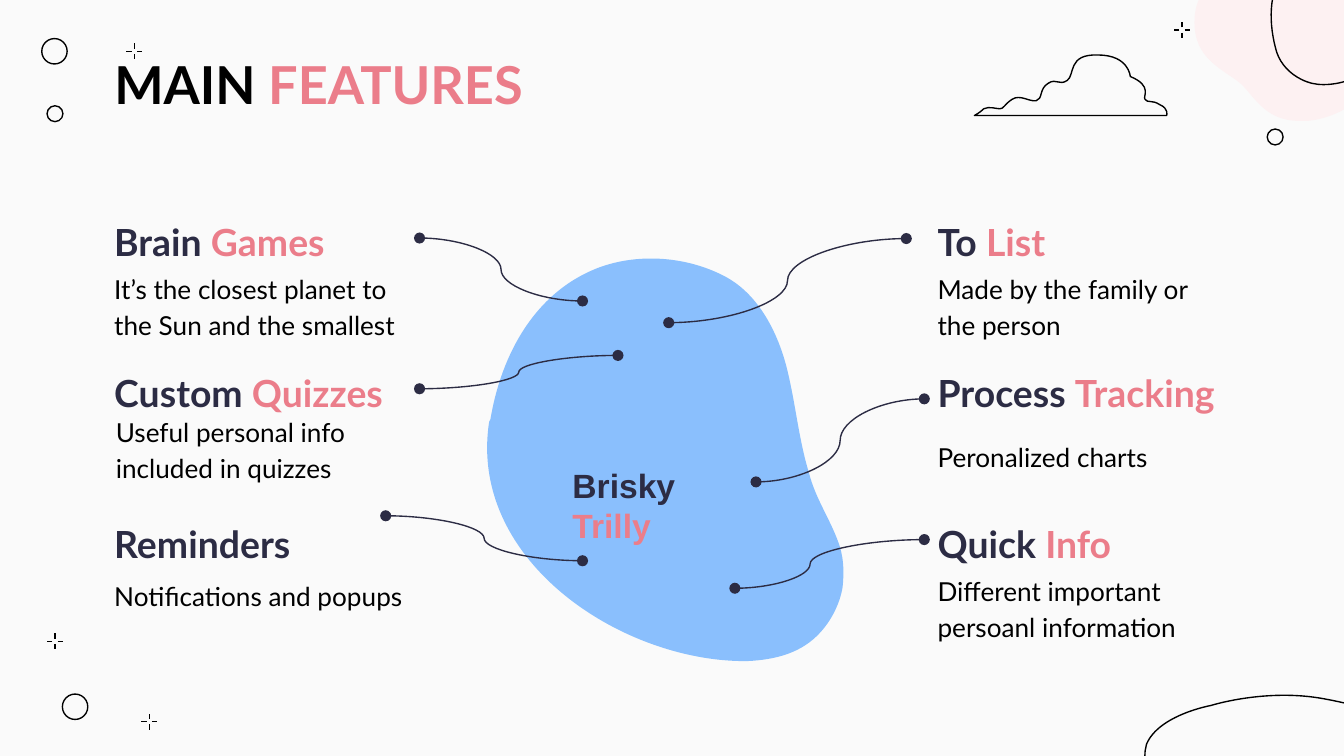
from lxml.etree import SubElement as Sub
from pptx import Presentation
from pptx.dml.color import RGBColor
from pptx.enum.shapes import MSO_CONNECTOR as Link, MSO_SHAPE as Kind
from pptx.enum.text import MSO_ANCHOR as Anchor, MSO_AUTO_SIZE as Fit, PP_ALIGN as Align
from pptx.oxml.ns import qn
from pptx.util import Cm, Pt

BLACK, NAVY, PINK = "000000", "2C2C44", "EB7D8A"
GRID = Cm(0.0254)  # step of the outline coordinates

# Outlines: a start point, then two handles and an end point per curve.
HILL = [
    (1078, 577), (1080, 567), (1073, 557), (1060, 549), (1038, 536), (1028, 528), (985, 520),
    (942, 512), (901, 525), (901, 525), (901, 525), (862, 532), (853, 554),
    (852, 556), (852, 557), (852, 559), (849, 578), (881, 588), (897, 598),
    (914, 608), (925, 627), (970, 634), (1014, 641), (1039, 634), (1040, 620),
    (1040, 619), (1041, 619), (1041, 618), (1042, 605), (1051, 602), (1067, 592),
    (1074, 588), (1078, 583), (1078, 577)]
BLUSH = [
    (980, -33), (992, -33), (1005, -29), (1013, -21), (1026, -9), (1035, -3), (1038, 21),
    (1041, 45), (1019, 66), (1019, 66), (1019, 66), (1003, 87), (973, 90),
    (971, 90), (969, 90), (967, 90), (942, 90), (934, 73), (924, 63),
    (913, 53), (891, 46), (889, 21), (887, -3), (900, -16), (918, -16),
    (919, -16), (920, -16), (921, -16), (938, -16), (944, -20), (959, -28),
    (965, -32), (972, -33), (980, -33)]
RING = [
    (975, -33), (978, -33), (981, -33), (984, -31), (987, -29), (990, -27), (993, -25),
    (1004, -19), (1014, -21), (1025, -20), (1032, -19), (1040, -16), (1045, -9),
    (1048, -5), (1050, 1), (1051, 6), (1052, 22), (1040, 38), (1029, 47),
    (1017, 55), (1001, 63), (985, 63), (979, 63), (974, 62), (968, 59),
    (960, 55), (953, 48), (950, 39), (944, 19), (943, -7), (957, -24),
    (962, -30), (968, -33), (975, -33)]
BLOB = [
    (627, 437), (628, 427), (628, 417), (625, 407), (619, 388), (607, 372), (602, 352),
    (594, 326), (592, 299), (585, 272), (578, 246), (564, 219), (540, 206),
    (512, 191), (476, 188), (446, 199), (398, 217), (373, 264), (365, 312),
    (364, 313), (364, 313), (364, 314), (348, 418), (464, 493), (556, 492),
    (577, 491), (597, 486), (611, 470), (619, 461), (625, 449), (627, 437)]
CLOUD = [
    (868, 86), (868, 86), (870, 81), (863, 78),
    (857, 74), (854, 77), (852, 74), (850, 72), (858, 64), (841, 57),
    (841, 57), (840, 41), (817, 41), (794, 40), (800, 56), (794, 60),
    (788, 64), (786, 58), (780, 62), (773, 66), (776, 74), (771, 75),
    (766, 76), (759, 70), (753, 74), (747, 78), (747, 81), (744, 81),
    (741, 81), (736, 79), (732, 81), (729, 84), (725, 86), (725, 86)]

# Centre x, centre y and diameter
DOTS = [(1.04, 2.15, 0.3), (1.03, 0.97, 0.48), (1.42, 13.36, 0.48), (24.1, 2.59, 0.3)]
SPARKS = [(2.54, 0.97), (2.82, 13.64), (1.04, 12.12), (22.34, 0.57)]

# Heading parts, then body text with its left and top, by column
LEFT, RIGHT = 1.91, 17.47
ITEMS = {
    LEFT: [(["Brain", " Games"], "It’s the closest planet to the Sun and the smallest", LEFT, 5.09),
           (["Custom ", "Quizzes"], "Useful personal info included in quizzes", 1.94, 7.79),
           (["Reminders"], "Notifications and popups", LEFT, 10.54)],
    RIGHT: [(["To", " List"], "Made by the family or the person", RIGHT, 5.09),
            (["Process ", "Tracking"], "Peronalized charts", RIGHT, 7.93),
            (["Quick ", "Info"], "Different important persoanl information", RIGHT, 10.8)],
}
# Start, end and bend (percent of the way across)
LINKS = [
    (7.29, 9.75, 11.01, 10.6, 50), (17.47, 10.2, 13.89, 11.12, 60.3),
    (17.47, 7.54, 14.29, 9.11, 50), (17.13, 4.51, 12.64, 6.1, 50),
    (7.93, 4.5, 11.01, 5.69, 50), (7.93, 7.35, 11.68, 6.72, 50)]


def rgb(code):
    return RGBColor.from_string(code)


def paint(shape, fill=None, line=None):
    shape.shadow.inherit = False
    if fill:
        shape.fill.solid()
        shape.fill.fore_color.rgb = rgb(fill)
    else:
        shape.fill.background()
    if line:
        shape.line.color.rgb = rgb(line)
        shape.line.width = Pt(0.75)
    else:
        shape.line.fill.background()


def curve(shape):
    """Turn each three straight segments into one cubic curve."""
    lines = list(shape._element.iter(qn("a:lnTo")))
    for i in range(0, len(lines), 3):
        trio = lines[i:i + 3]
        bow = Sub(trio[0].getparent(), qn("a:cubicBezTo"))
        trio[0].addprevious(bow)
        for line in trio:
            bow.append(line[0])
            line.getparent().remove(line)


def draw(slide, nodes, fill=None, line=None):
    pen = slide.shapes.build_freeform(*nodes[0], scale=GRID)
    pen.add_line_segments(nodes[1:], close=True)
    shape = pen.convert_to_shape()
    curve(shape)
    paint(shape, fill, line)
    return shape


def fade(shape, percent):
    color = shape._element.spPr.find(qn("a:solidFill"))[0]
    Sub(color, qn("a:alpha"), val=str(percent * 1000))


def dot(slide, x, y, size):
    shape = slide.shapes.add_shape(Kind.OVAL, Cm(x - size / 2), Cm(y - size / 2),
                                   Cm(size), Cm(size))
    paint(shape, line=BLACK)


def join(slide, kind, ends, color):
    line = slide.shapes.add_connector(kind, *map(Cm, ends))
    line.line.color.rgb = rgb(color)
    line.line.width = Pt(0.75)
    Sub(line._element.spPr, qn("a:effectLst"))
    return line


def spark(slide, x, y):
    for dx, dy in ((1, 0), (-1, 0), (0, 1), (0, -1)):
        ends = [mid + d * reach for reach in (0.05, 0.15) for mid, d in ((x, dx), (y, dy))]
        join(slide, Link.STRAIGHT, ends, BLACK)


def bend(slide, x1, y1, x2, y2, turn):
    line = join(slide, Link.CURVE, (x1, y1, x2, y2), NAVY)
    props = line._element.spPr
    for end in ("a:headEnd", "a:tailEnd"):
        Sub(props.find(qn("a:ln")), qn(end), type="oval")
    shape = props.find(qn("a:prstGeom"))
    guides = shape.find(qn("a:avLst"))
    if guides is None:
        guides = Sub(shape, qn("a:avLst"))
    Sub(guides, qn("a:gd"), name="adj1", fmla=f"val {round(turn * 1000)}")


def style(para, size, colors, face="Lato", bold=True):
    for run, color in zip(para.runs, colors):
        font = run.font
        font.name, font.size, font.bold = face, Pt(size), bold
        font.color.rgb = rgb(color)


def setup(frame, anchor, pad):
    frame.word_wrap = True
    frame.auto_size = Fit.NONE
    frame.vertical_anchor = anchor
    frame.margin_left = frame.margin_right = Cm(0.25)
    frame.margin_top = frame.margin_bottom = Cm(pad)


def write(para, parts):
    para.alignment = Align.LEFT
    for part in parts:
        para.add_run().text = part


def head(slide):
    title = slide.shapes.title
    title.left, title.top, title.width, title.height = map(Cm, (1.91, 0.78, 9.12, 1.6))
    setup(title.text_frame, Anchor.MIDDLE, 0.25)
    para = title.text_frame.paragraphs[0]
    write(para, ["MAIN ", "FEATURES"])
    style(para, 28, (BLACK, PINK))


def label(slide, x, y, tall, parts, size, colors, bold):
    frame = slide.shapes.add_textbox(Cm(x), Cm(y), Cm(6.02), Cm(tall)).text_frame
    setup(frame, Anchor.MIDDLE, 0.25)
    para = frame.paragraphs[0]
    para.line_spacing, para.space_after = 1.15, Pt(12)
    write(para, parts)
    style(para, size, colors, bold=bold)


def name(slide):
    frame = slide.shapes.add_textbox(Cm(10.57), Cm(8.66), Cm(3.23), Cm(1.8)).text_frame
    setup(frame, Anchor.TOP, 0.13)
    para = frame.paragraphs[0]
    para.text = "Brisky \vTrilly"
    style(para, 18, (NAVY, PINK), face="Arial")


def main():
    deck = Presentation()
    deck.slide_width, deck.slide_height = Cm(25.4), Cm(14.29)
    slide = deck.slides.add_slide(deck.slide_layouts[5])
    slide.background.fill.solid()
    slide.background.fill.fore_color.rgb = rgb("FAFAFA")

    draw(slide, HILL, line=BLACK)
    draw(slide, BLUSH, fill="FDF1F2")
    for nodes in (RING, CLOUD):
        draw(slide, nodes, line=BLACK)
    for spot in DOTS:
        dot(slide, *spot)
    for spot in SPARKS:
        spark(slide, *spot)
    fade(draw(slide, BLOB, fill="4099FF"), 60)

    head(slide)
    for left, items in ITEMS.items():
        for row, (parts, body, x, y) in enumerate(items):
            label(slide, left, 3.96 + 2.85 * row, 1.09, parts, 20, (NAVY, PINK), True)
            label(slide, x, y, 1.35, [body], 14, (BLACK,), False)
    for link in LINKS:
        bend(slide, *link)
    name(slide)
    deck.save("out.pptx")


if __name__ == "__main__":
    main()
